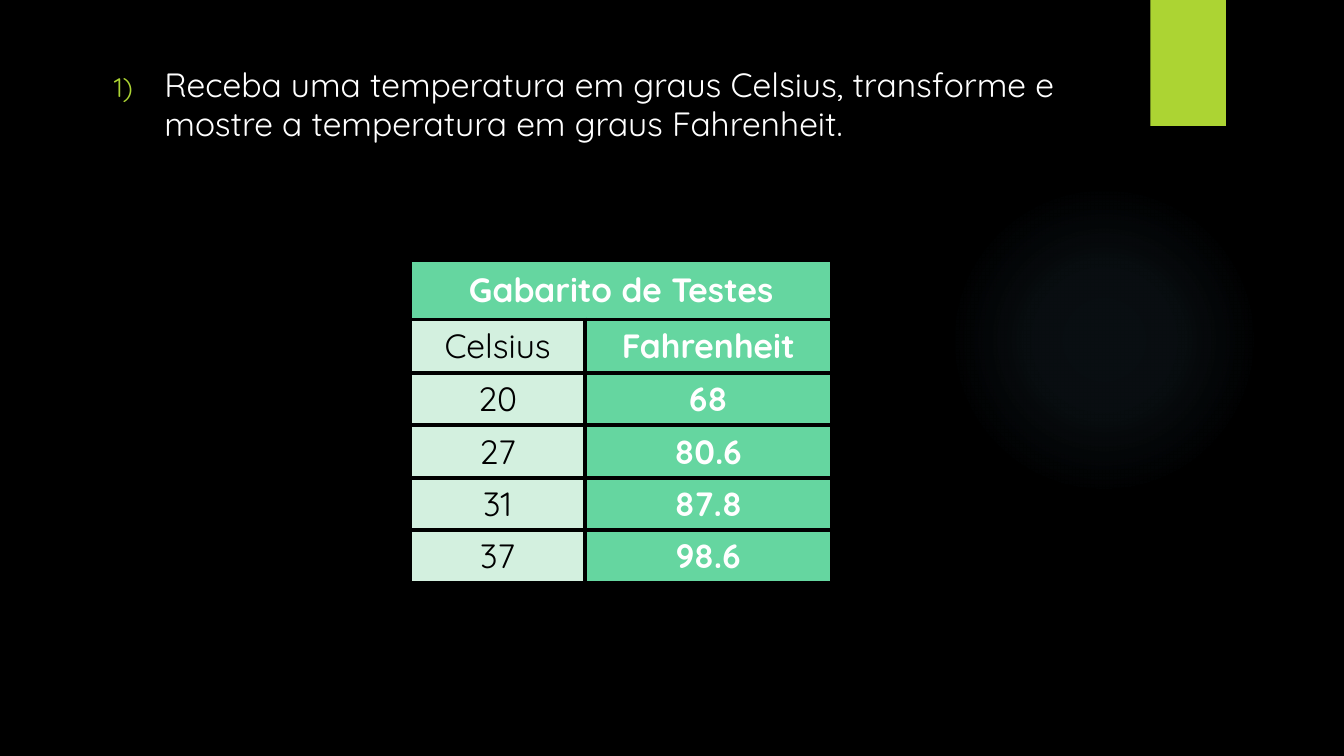
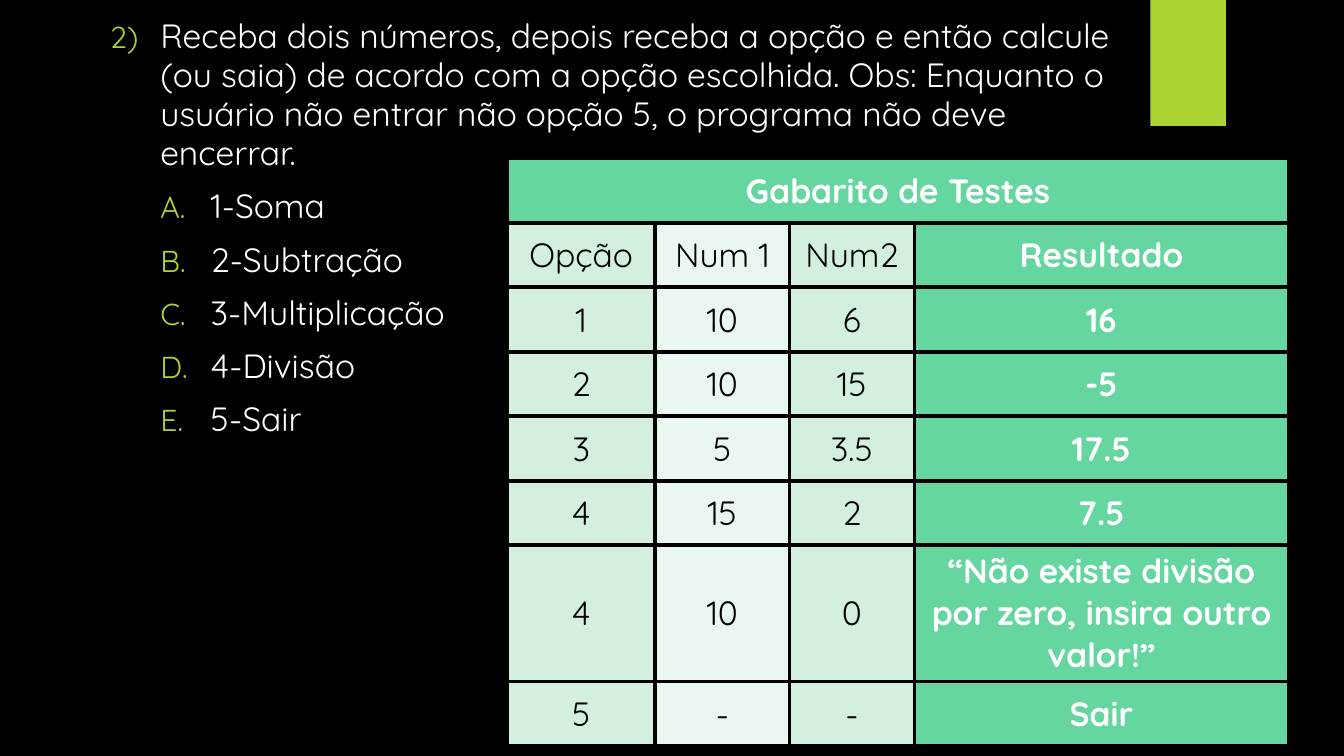
"""Build two exercise slides with their answer tables."""
from dataclasses import dataclass

from lxml.etree import SubElement
from pptx import Presentation
from pptx.dml.color import RGBColor
from pptx.enum.shapes import MSO_SHAPE
from pptx.enum.text import MSO_ANCHOR, MSO_AUTO_SIZE, PP_ALIGN
from pptx.oxml import parse_xml
from pptx.oxml.ns import nsdecls, qn
from pptx.util import Inches, Pt


@dataclass(frozen=True)
class Theme:
    """Colours and type sizes of the deck."""
    back: str = "000000"
    light: str = "FFFFFF"
    dark: str = "000000"
    lime: str = "ACD433"
    glow: str = "7AC4F0"
    green: str = "65D6A0"
    tints: tuple = ("D3F0DF", "EAF7F0")
    font: str = "Quicksand"
    size: float = 24
    gap: float = 10
    lead: float = 0.97
    rule: float = 3


THEME = Theme()


def paint(fill, color):
    """Fill with one solid colour."""
    fill.solid()
    fill.fore_color.rgb = RGBColor.from_string(color)


def style(para, color, bold=False):
    """Format the runs of a paragraph."""
    for run in para.runs:
        run.font.name = THEME.font
        run.font.size = Pt(THEME.size)
        run.font.bold = bold
        run.font.color.rgb = RGBColor.from_string(color)


def add_shape(slide, kind, box):
    """Add a preset shape without line or shadow."""
    shape = slide.shapes.add_shape(kind, *map(Inches, box))
    shape.shadow.inherit = False
    shape.line.fill.background()
    return shape


def add_glow(slide):
    """Add the soft radial light."""
    shape = add_shape(slide, MSO_SHAPE.OVAL, (9.41, 1.83, 3.08, 3.08))
    stops = "".join(
        f'<a:gs pos="{pos * 1000}"><a:srgbClr val="{THEME.glow}">'
        f'<a:alpha val="{alpha * 1000}"/></a:srgbClr></a:gs>'
        for pos, alpha in ((0, 7), (36, 6), (69, 0), (100, 0)))
    grad = parse_xml(
        f'<a:gradFill {nsdecls("a")} rotWithShape="1"><a:gsLst>{stops}</a:gsLst>'
        '<a:path path="circle"><a:fillToRect l="50000" t="50000" r="50000" '
        'b="50000"/></a:path></a:gradFill>')
    shape.element.spPr.find(qn("a:prstGeom")).addnext(grad)
    return shape


def add_tab(slide):
    """Add the lime tab at the top edge."""
    shape = add_shape(slide, MSO_SHAPE.RECTANGLE, (11.41, 0, 0.75, 1.25))
    paint(shape.fill, THEME.lime)
    return shape


def share_decor(slide):
    """Move the glow and the tab to the layout that all slides use."""
    for num, shape in enumerate((add_glow(slide), add_tab(slide)), 20):
        shape.element.xpath(".//p:cNvPr")[0].set("id", str(num))
        slide.slide_layout.shapes.element.append(shape.element)


def number(para, kind, start, scale, level):
    """Give a paragraph a coloured automatic number."""
    props = para._p.get_or_add_pPr()
    props.set("marL", str(Inches(0.5 * (level + 1))))
    props.set("indent", str(Inches(-0.5)))
    color = SubElement(props, qn("a:buClr"))
    SubElement(color, qn("a:srgbClr"), val=THEME.lime)
    SubElement(props, qn("a:buSzPct"), val=str(scale * 1000))
    SubElement(props, qn("a:buFont"), typeface=THEME.font)
    SubElement(props, qn("a:buAutoNum"), type=kind, startAt=str(start))


def add_task(slide, box, start, scale, text, items=()):
    """Write the numbered task and its lettered options."""
    body = slide.placeholders[1]
    body.left, body.top, body.width, body.height = map(Inches, box)
    frame = body.text_frame
    frame.text = "\n".join((text, *items))
    frame.word_wrap = True
    frame.auto_size = MSO_AUTO_SIZE.NONE
    frame.vertical_anchor = MSO_ANCHOR.TOP
    for spot, para in enumerate(frame.paragraphs):
        para.level = min(spot, 1)
        para.space_before = Pt(THEME.gap)
        para.line_spacing = THEME.lead
        style(para, THEME.light)
        if spot:
            number(para, "alphaUcPeriod", 1, scale, 1)
        else:
            number(para, "arabicParenR", start, scale, 0)


def edge(cell):
    """Draw the four borders of a cell."""
    props = cell._tc.get_or_add_tcPr()
    for side in ("lnL", "lnR", "lnT", "lnB"):
        line = SubElement(props, qn(f"a:{side}"), w=str(Pt(THEME.rule)))
        fill = SubElement(line, qn("a:solidFill"))
        SubElement(fill, qn("a:srgbClr"), val=THEME.back)


def fill_cell(cell, text, color, strong):
    """Write and format one cell."""
    edge(cell)
    paint(cell.fill, color)
    cell.vertical_anchor = MSO_ANCHOR.MIDDLE
    cell.text_frame.text = text
    para = cell.text_frame.paragraphs[0]
    para.alignment = PP_ALIGN.CENTER
    style(para, THEME.light if strong else THEME.dark, strong)


def add_key(slide, spot, widths, heights, rows):
    """Add the answer table with a merged heading and a strong last column."""
    count = len(widths)
    rows = [("Gabarito de Testes",) + ("",) * (count - 1), *rows]
    size = sum(widths), sum(heights)
    table = slide.shapes.add_table(
        len(rows), count, *map(Inches, spot + size)).table
    table.first_row = table.horz_banding = False
    for col, width in zip(table.columns, widths):
        col.width = Inches(width)
    for row, height in zip(table.rows, heights):
        row.height = Inches(height)
    for top, row in enumerate(rows):
        for left, text in enumerate(row):
            strong = top == 0 or left == count - 1
            color = THEME.green if strong else THEME.tints[left % 2]
            fill_cell(table.cell(top, left), text, color, strong)
    table.cell(0, 0).merge(table.cell(0, count - 1))


def add_slide(deck):
    """Add a slide that holds a body text only."""
    slide = deck.slides.add_slide(deck.slide_layouts[1])
    title = slide.shapes.title.element
    title.getparent().remove(title)
    return slide


def main():
    """Build and save the deck."""
    deck = Presentation()
    deck.slide_width, deck.slide_height = Inches(13.33), Inches(7.5)
    paint(deck.slide_master.background.fill, THEME.back)

    slide = add_slide(deck)
    share_decor(slide)
    add_task(slide, (1.03, 0.61, 10.25, 4.59), 1, 80,
             "Receba uma temperatura em graus Celsius, transforme e mostre "
             "a temperatura em graus Fahrenheit.")
    add_key(slide, (4.07, 2.58), (1.73, 2.45), (0.59, 0.53) + (0.52,) * 4, [
        ("Celsius", "Fahrenheit"),
        ("20", "68"),
        ("27", "80.6"),
        ("31", "87.8"),
        ("37", "98.6"),
    ])

    slide = add_slide(deck)
    add_task(slide, (0.99, 0.12, 10.25, 6.19), 2, 90,
             "Receba dois números, depois receba a opção e então calcule "
             "(ou saia) de acordo com a opção escolhida. Obs: Enquanto o "
             "usuário não entrar não opção 5, o programa não deve encerrar.",
             ("1-Soma", "2-Subtração", "3-Multiplicação", "4-Divisão", "5-Sair"))
    add_key(slide, (5.03, 1.57), (1.47, 1.33, 1.24, 3.71),
            (0.64,) * 6 + (1.33, 0.64), [
        ("Opção", "Num 1", "Num2", "Resultado"),
        ("1", "10", "6", "16"),
        ("2", "10", "15", "-5"),
        ("3", "5", "3.5", "17.5"),
        ("4", "15", "2", "7.5"),
        ("4", "10", "0", "“Não existe divisão por zero, insira outro valor!”"),
        ("5", "-", "-", "Sair"),
    ])
    deck.save("out.pptx")


if __name__ == "__main__":
    main()
